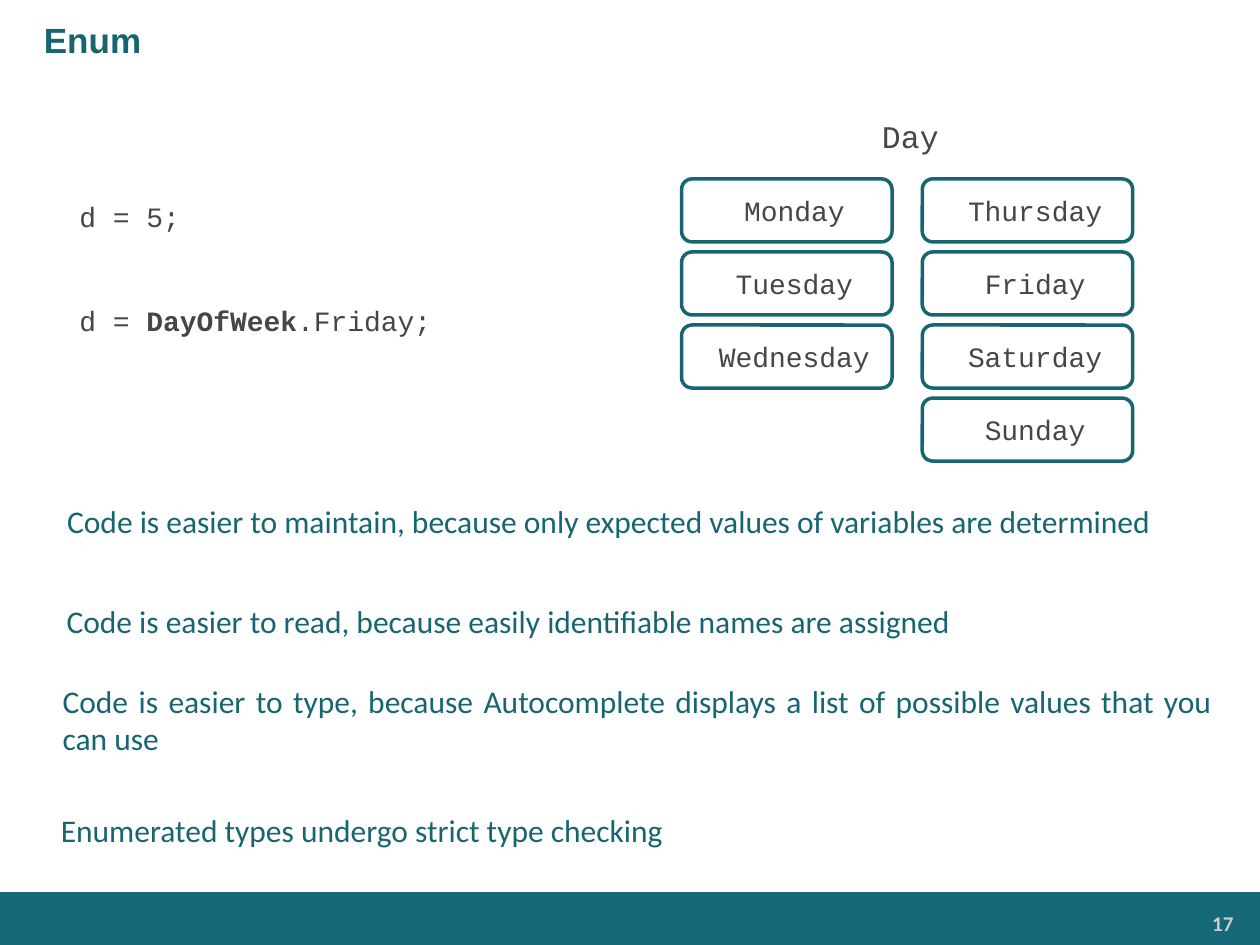
from pptx import Presentation
from pptx.dml.color import RGBColor
from pptx.enum.shapes import MSO_SHAPE
from pptx.enum.text import MSO_ANCHOR, PP_ALIGN
from pptx.util import Inches, Pt

HUES = {"teal": "176571", "bar": "146878", "gray": "464547", "pale": "CCCCCC"}
CODE = "Courier New"
BODY = "Calibri"


def hue(name):
    """Return the named colour."""
    return RGBColor.from_string(HUES[name])


def panel(slide, kind, box, fill=None, line=None):
    """Add a flat shape with an optional fill and outline."""
    shape = slide.shapes.add_shape(kind, *map(Inches, box))
    shape.shadow.inherit = False
    if fill:
        shape.fill.solid()
        shape.fill.fore_color.rgb = hue(fill)
    else:
        shape.fill.background()
    if line:
        shape.line.color.rgb = hue(line)
        shape.line.width = Pt(2)
    else:
        shape.line.fill.background()
    return shape


def write(shape, runs, size, font, color, align, anchor=MSO_ANCHOR.MIDDLE,
          pad=(0.13, 0.06), left=0.12):
    """Write one paragraph of (text, bold) runs into a shape."""
    frame = shape.text_frame
    frame.word_wrap = True
    frame.vertical_anchor = anchor
    frame.margin_left = frame.margin_right = Inches(pad[0])
    frame.margin_top = frame.margin_bottom = Inches(pad[1])
    para = frame.paragraphs[0]
    para.alignment = align
    props = para._p.get_or_add_pPr()
    props.set("marL", str(Inches(left)))
    props.set("indent", "0")
    for text, bold in runs:
        run = para.add_run()
        run.text = text
        run.font.size = Pt(size)
        run.font.name = font
        run.font.bold = bold
        run.font.color.rgb = hue(color)


def footer(slide, x, y, w, h):
    """Draw the bottom bar with the page number."""
    panel(slide, MSO_SHAPE.RECTANGLE, (x, y, w, h), fill="bar")
    box = slide.shapes.add_textbox(*map(Inches, (x + 8.23, y + 0.11, 1.63, 0.28)))
    write(box, [("17", True)], 12, BODY, "pale", PP_ALIGN.RIGHT,
          MSO_ANCHOR.TOP, (0.07, 0.04), 0)


def title(slide, x, y, w, h):
    """Write the slide heading."""
    box = slide.shapes.add_textbox(*map(Inches, (x, y, w, h)))
    write(box, [("Enum", True)], 20, "Arial", "teal", PP_ALIGN.LEFT,
          pad=(0.1, 0.05), left=0.25)


def days(slide, x, y, w, h):
    """Draw the enum's name above two columns of its values."""
    round_box = MSO_SHAPE.ROUNDED_RECTANGLE
    group = panel(slide, round_box, (x, y, w, h))
    write(group, [("Day", False)], 18, CODE, "gray", PP_ALIGN.CENTER, MSO_ANCHOR.TOP)
    cols = (("Monday", "Tuesday", "Wednesday"),
            ("Thursday", "Friday", "Saturday", "Sunday"))
    for col, names in enumerate(cols):
        for row, name in enumerate(names):
            spot = (x + 0.41 + col * 1.91, y + 0.7 + row * 0.58, 1.67, 0.5)
            cell = panel(slide, round_box, spot, line="teal")
            write(cell, [(name, False)], 16, CODE, "gray", PP_ALIGN.CENTER)


def points(slide, x, y, w):
    """Place the four benefits down the slide."""
    rows = (
        (0.05, 0, 0.67, "Code is easier to maintain, because only expected values "
         "of variables are determined"),
        (0.05, 0.84, 0.58, "Code is easier to read, because easily identifiable "
         "names are assigned"),
        (0.01, 1.53, 0.76, "Code is easier to type, because Autocomplete displays "
         "a list of possible values that you can use"),
        (0, 2.45, 0.67, "Enumerated types undergo strict type checking"),
    )
    for dx, dy, h, text in rows:
        box = panel(slide, MSO_SHAPE.ROUNDED_RECTANGLE, (x + dx, y + dy, w, h))
        write(box, [(text, False)], 18, BODY, "teal", PP_ALIGN.JUSTIFY)


def code(slide, x, y, w):
    """Show the plain and the enum assignment."""
    rows = (
        (0, 0.69, 0.06, [("d = 5;", False)]),
        (0.58, 0.92, 0.36, [("d = ", False), ("DayOfWeek", True), (".Friday;", False)]),
    )
    for dy, h, top, runs in rows:
        box = panel(slide, MSO_SHAPE.FLOWCHART_DOCUMENT, (x, y + dy, w, h))
        write(box, runs, 16, CODE, "gray", PP_ALIGN.JUSTIFY)
        box.text_frame.margin_top = Inches(top)


def main():
    """Build and save the slide."""
    deck = Presentation()
    deck.slide_width = Inches(10)
    deck.slide_height = Inches(7.5)
    slide = deck.slides.add_slide(deck.slide_layouts[6])
    footer(slide, 0, 7.08, 10, 0.42)
    title(slide, 0, 0, 10, 0.63)
    days(slide, 5, 0.72, 4.33, 3.08)
    points(slide, 0.2, 3.8, 9.58)
    code(slide, 0.38, 1.44, 3.58)
    deck.save("out.pptx")


if __name__ == "__main__":
    main()
